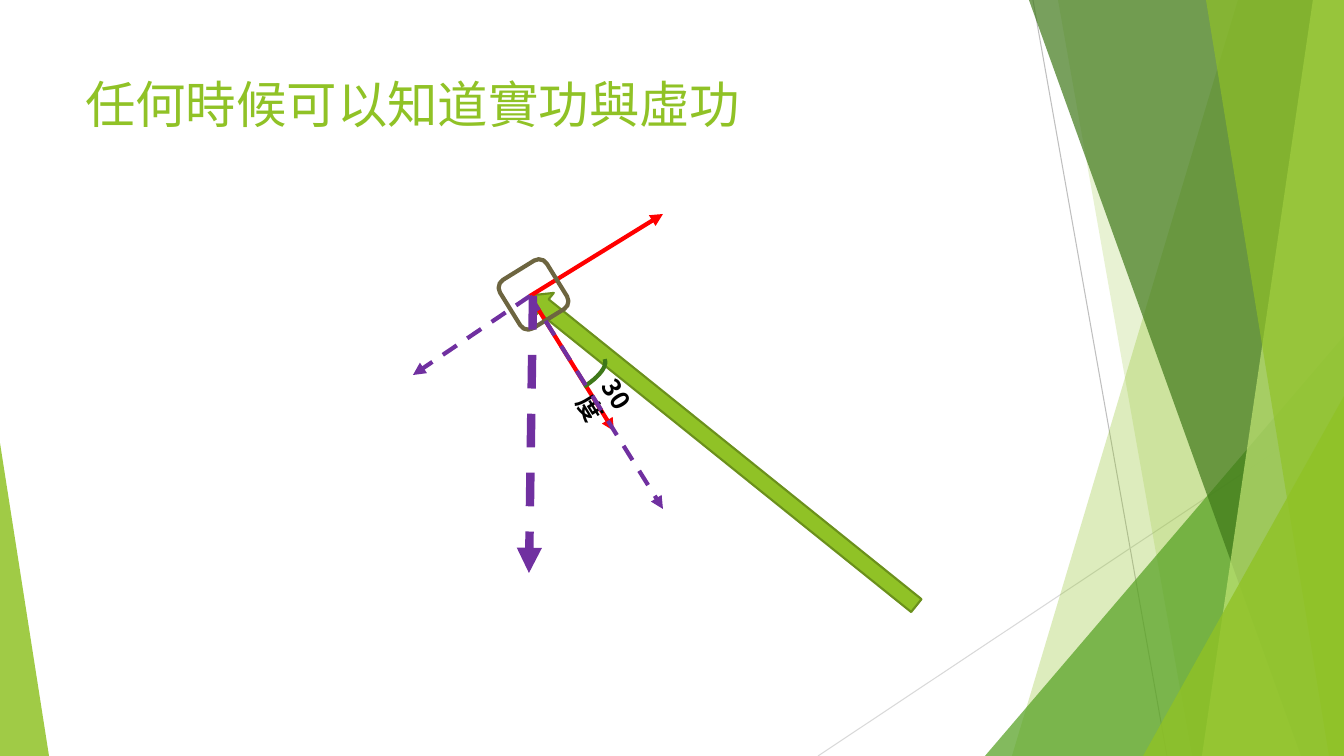
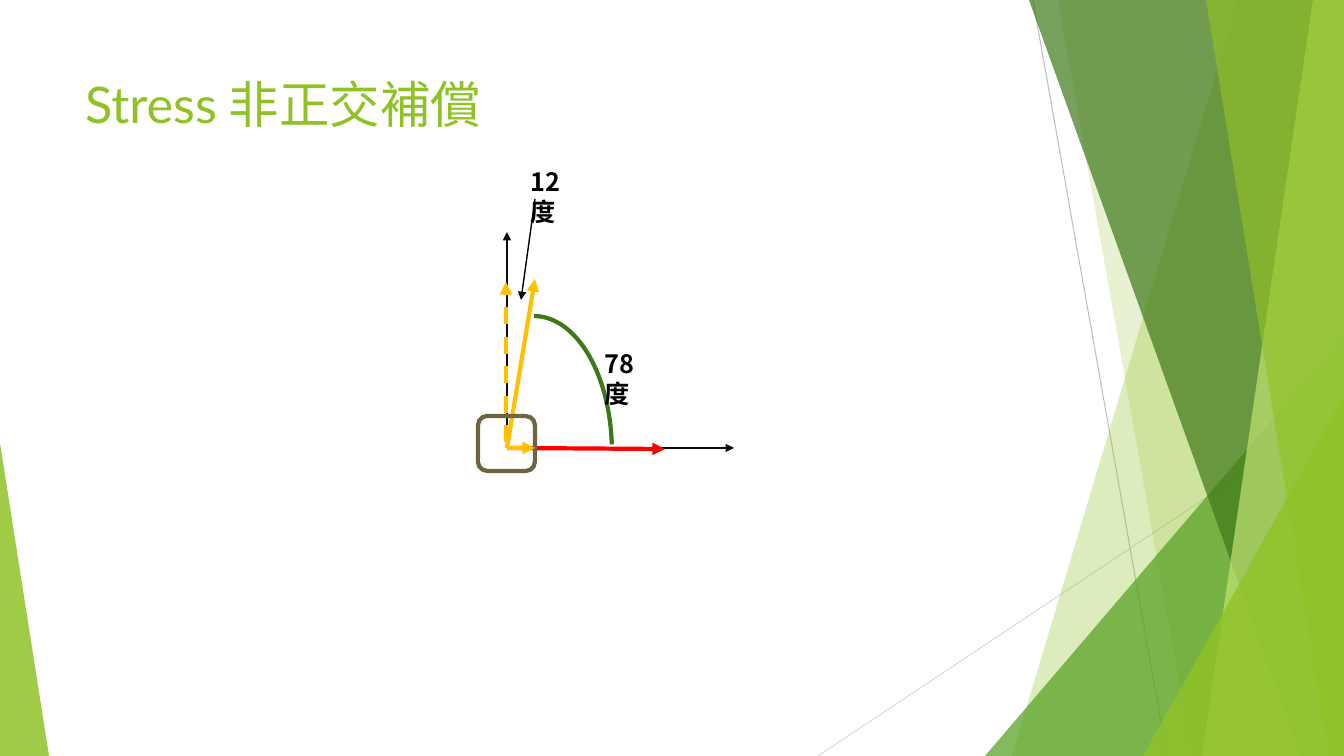
from lxml.etree import SubElement
from pptx import Presentation
from pptx.dml.color import RGBColor
from pptx.enum.dml import MSO_LINE
from pptx.enum.shapes import MSO_CONNECTOR, MSO_SHAPE
from pptx.enum.text import MSO_ANCHOR, MSO_AUTO_SIZE, PP_ALIGN
from pptx.oxml.ns import qn
from pptx.util import Emu, Pt

WIDTH, HEIGHT = 1344, 756
SCALE = 12192000 / WIDTH
COLORS = {
    "green": "90C226", "grass": "54A021", "forest": "3F7819", "lime": "C0E474",
    "olive": "6B901C", "brown": "6D6540", "red": "FF0000", "purple": "7030A0",
    "amber": "FFC000", "black": "000000", "ink": "0D0D0D",
    "silver": "BFBFBF", "mist": "D9D9D9",
}
TITLE_FONT = "Lato"
LABEL_FONT = "Noto Sans CJK SC"


def px(*lengths):
    return [Emu(round(length * SCALE)) for length in lengths]


def rgb(name):
    return RGBColor.from_string(COLORS[name])


class Deck:
    def __init__(self):
        self.deck = Presentation()
        self.deck.slide_width, self.deck.slide_height = px(WIDTH, HEIGHT)
        self.layout = self.deck.slide_layouts[5]
        for holder in list(self.layout.placeholders)[1:]:
            holder.element.getparent().remove(holder.element)
        self.page = None

    def new_page(self, title):
        self.page = self.deck.slides.add_slide(self.layout)
        box = self.page.shapes.title
        box.left, box.top, box.width, box.height = px(75, 68, 948, 145)
        self.set_text(box, title, 36, TITLE_FONT, "green")

    def set_text(self, box, text, size, font, color, bold=False):
        frame = box.text_frame
        frame.text = text
        frame.word_wrap = True
        frame.auto_size = MSO_AUTO_SIZE.NONE
        frame.vertical_anchor = MSO_ANCHOR.TOP
        para = frame.paragraphs[0]
        para.alignment = PP_ALIGN.LEFT
        span = para.runs[0]
        span.font.size, span.font.name, span.font.bold = Pt(size), font, bold
        span.font.color.rgb = rgb(color)
        latin = para.runs[0].font._element.find(qn("a:latin"))
        latin.addnext(latin.makeelement(qn("a:ea"), {"typeface": LABEL_FONT}))

    def paint(self, shape, fill=None, opacity=100, line=None, weight=3):
        shape.shadow.inherit = False
        if fill:
            shape.fill.solid()
            shape.fill.fore_color.rgb = rgb(fill)
            if opacity < 100:
                color = shape.element.spPr.find(f"{qn('a:solidFill')}/{qn('a:srgbClr')}")
                SubElement(color, qn("a:alpha"), val=str(opacity * 1000))
        else:
            shape.fill.background()
        if line:
            shape.line.color.rgb = rgb(line)
            shape.line.width = Pt(weight)
        else:
            shape.line.fill.background()

    def shape(self, kind, place, rotation=0, adjust=(), **style):
        shape = self.page.shapes.add_shape(kind, *px(*place))
        shape.rotation = rotation
        for index, value in enumerate(adjust):
            shape.adjustments[index] = value
        self.paint(shape, **style)

    def band(self, top_left, bottom_left, fill, opacity):
        outline = self.page.shapes.build_freeform(top_left, 0, scale=SCALE)
        outline.add_line_segments([(WIDTH, 0), (WIDTH, HEIGHT), (bottom_left, HEIGHT)])
        self.paint(outline.convert_to_shape(), fill, opacity)

    def line(self, start, end, color, weight=3, dashed=False, arrow=True):
        connector = self.page.shapes.add_connector(
            MSO_CONNECTOR.STRAIGHT, *px(*start, *end))
        connector.line.color.rgb = rgb(color)
        connector.line.width = Pt(weight)
        if dashed:
            connector.line.dash_style = MSO_LINE.DASH
        properties = connector._element.spPr
        if arrow:
            SubElement(properties.find(qn("a:ln")), qn("a:tailEnd"), type="triangle")
        SubElement(properties, qn("a:effectLst"))

    def label(self, text, left, top, rotation):
        box = self.page.shapes.add_textbox(*px(left, top, 77, 40))
        box.rotation = rotation
        self.set_text(box, text, 18, LABEL_FONT, "black", bold=True)

    def body(self, left, top, rotation):
        self.shape(MSO_SHAPE.ROUNDED_RECTANGLE, (left, top, 57, 55), rotation, line="brown")

    def triangle(self, place, apex, fill, opacity):
        self.shape(MSO_SHAPE.ISOSCELES_TRIANGLE, place, adjust=[apex],
                   fill=fill, opacity=opacity)

    def backdrop(self):
        self.line((1033, 0), (1167, HEIGHT), "silver", 0.75, arrow=False)
        self.line((WIDTH, 406), (818, HEIGHT), "mist", 0.75, arrow=False)
        self.band(1238, 1012, "green", 30)
        self.band(1058, 1192, "green", 20)
        self.triangle((985, 336, 359, 420), 1, "grass", 72)
        self.band(1029, 1301, "forest", 70)
        self.band(1313, 1202, "lime", 70)
        self.band(1206, 1329, "green", 65)
        self.triangle((1143, 396, 201, 360), 1, "green", 80)
        self.triangle((0, 443, 49, 313), 0, "green", 85)
        for shape in list(self.page.shapes)[1:]:
            self.layout.shapes.element.append(shape.element)


show = Deck()

show.new_page("任何時候可以知道實功與虛功")
show.backdrop()
joint = (530, 296)
tilt = 58.3
show.shape(MSO_SHAPE.RIGHT_ARROW, (476, 434, 495, 33), 218.8,
           fill="green", line="olive", weight=1.5)
show.line(joint, (614, 431), "red")
show.line(joint, (663, 214), "red")
show.body(505, 267, tilt)
show.shape(MSO_SHAPE.ARC, (565, 344, 25, 64), tilt, line="forest")
show.label("30度", 586, 386, tilt)
show.line((533, 296), (529, 573), "purple", 6, dashed=True)
show.line(joint, (413, 375), "purple", dashed=True)
show.line(joint, (663, 509), "purple", dashed=True)

show.new_page("Stress非正交補償")
origin = (507, 448)
tilt = 0.2
show.line(origin, (507, 232), "ink", 1)
show.line(origin, (734, 448), "ink", 1)
show.line(origin, (665, 449), "red")
show.line(origin, (535, 279), "amber")
show.body(478, 416, tilt)
show.shape(MSO_SHAPE.ARC, (455, 316, 157, 272), tilt, [162, 212.57], line="forest")
show.label("78度", 595, 343, tilt)
show.line(origin, (535, 448), "amber", dashed=True)
show.line((506, 442), (506, 282), "amber", dashed=True)
show.label("12度", 521, 161, tilt)
show.line((535, 199), (521, 300), "black", 1)

show.deck.save("out.pptx")
